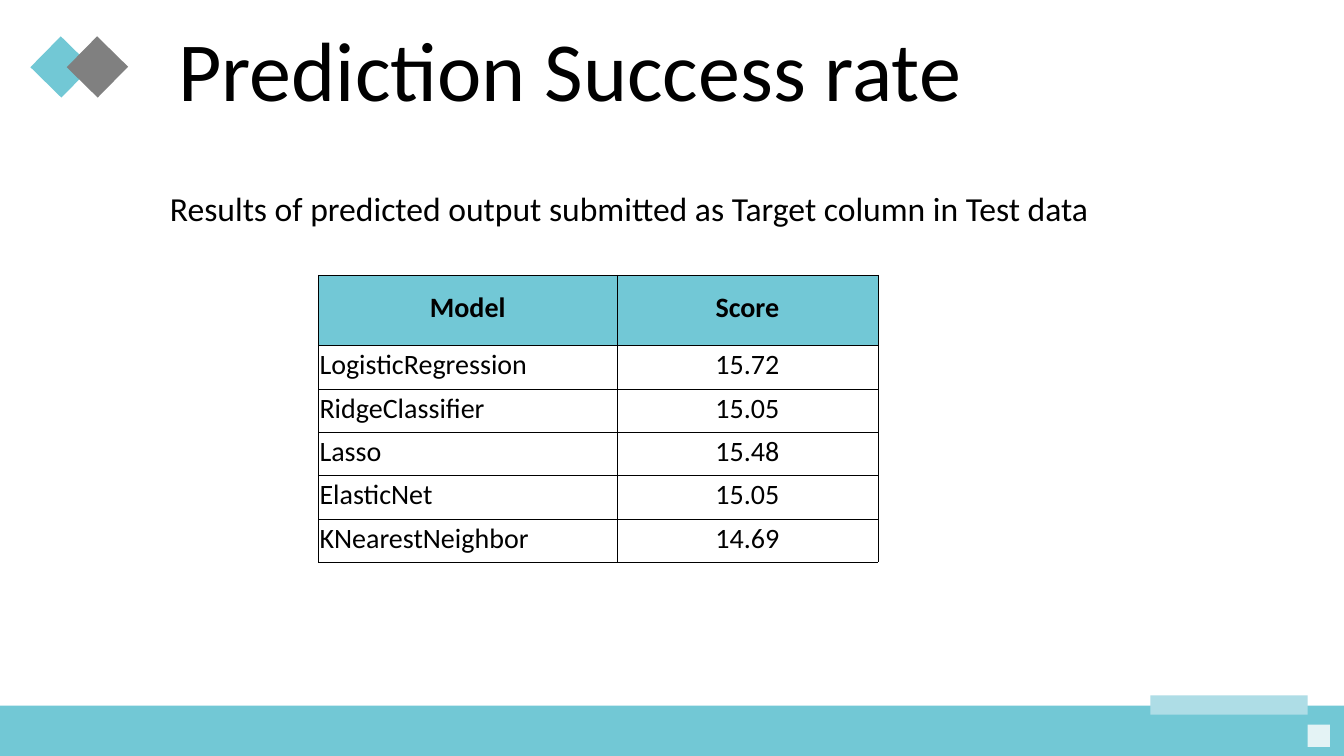
from lxml.etree import SubElement
from pptx import Presentation
from pptx.dml.color import RGBColor
from pptx.enum.shapes import MSO_SHAPE as Preset
from pptx.enum.text import MSO_ANCHOR as Anchor, MSO_AUTO_SIZE as AutoSize, PP_ALIGN as Align
from pptx.oxml.ns import qn
from pptx.util import Inches, Pt

TEAL = RGBColor(0x72, 0xC8, 0xD5)
HEADER_TEAL = RGBColor(0x72, 0xC8, 0xD6)
LIGHT_TEAL = RGBColor(0xAE, 0xDD, 0xE6)
PALE_TEAL = RGBColor(0xE4, 0xF3, 0xF5)
GRAY = RGBColor(0x80, 0x80, 0x80)
BLACK = RGBColor(0, 0, 0)

SCORES = [
    ("Model", "Score"),
    ("LogisticRegression", "15.72"),
    ("RidgeClassifier", "15.05"),
    ("Lasso", "15.48"),
    ("ElasticNet", "15.05"),
    ("KNearestNeighbor", "14.69"),
]


class SlideBuilder:
    """Holds the style and the current slide; lengths are percent of its size."""

    font = "Calibri"

    def __init__(self, deck):
        """Add a title and content slide to the deck."""
        self.width, self.height = deck.slide_width, deck.slide_height
        self.slide = deck.slides.add_slide(deck.slide_layouts[1])

    def across(self, share):
        """Turn a percentage of the width into a length."""
        return round(self.width * share / 100)

    def down(self, share):
        """Turn a percentage of the height into a length."""
        return round(self.height * share / 100)

    def box(self, left, top, width, height):
        """Turn four percentages into a place and a size."""
        return self.across(left), self.down(top), self.across(width), self.down(height)

    def style(self, paragraph, size, align, bold=False):
        """Format a whole paragraph."""
        paragraph.alignment = align
        font = paragraph.font
        font.name, font.size, font.bold = self.font, Pt(size), bold
        font.color.rgb = BLACK

    def block(self, place, color, rotation=0):
        """Draw a plain filled rectangle."""
        shape = self.slide.shapes.add_shape(Preset.RECTANGLE, *self.box(*place))
        shape.shadow.inherit = False
        shape.fill.solid()
        shape.fill.fore_color.rgb = color
        shape.line.fill.background()
        shape.rotation = rotation

    def placeholder(self, index, place, text, size, align, anchor, margin_top=0.05):
        """Move, fill and format one of the layout's placeholders."""
        holder = self.slide.placeholders[index]
        holder.left, holder.top, holder.width, holder.height = self.box(*place)
        frame = holder.text_frame
        frame.text = text
        frame.word_wrap = True
        frame.auto_size = AutoSize.NONE
        frame.vertical_anchor = anchor
        frame.margin_top = Inches(margin_top)
        paragraph = frame.paragraphs[0]
        paragraph.line_spacing = 0.9
        paragraph.space_before = Pt(0)
        self.style(paragraph, size, align)
        return paragraph

    def title(self, place, text):
        """Write the slide title."""
        self.placeholder(0, place, text, 60, Align.LEFT, Anchor.MIDDLE)

    def body(self, place, text, margin_top):
        """Write the body line without a bullet."""
        line = self.placeholder(1, place, text, 24, Align.CENTER, Anchor.TOP, margin_top)
        properties = line._p.get_or_add_pPr()
        properties.set("marL", "0")
        properties.set("indent", "0")
        SubElement(properties, qn("a:buNone"))

    def border(self, cell):
        """Put a thin black line on every side of a cell."""
        properties = cell._tc.get_or_add_tcPr()
        for position, side in enumerate("LRTB"):
            line = SubElement(properties, qn(f"a:ln{side}"), w=str(Pt(0.5)))
            fill = SubElement(line, qn("a:solidFill"))
            SubElement(fill, qn("a:srgbClr"), val=str(BLACK))
            properties.insert(position, line)

    def table(self, left, top, widths, heights, rows):
        """Draw a bordered table with a coloured header row."""
        place = self.box(left, top, sum(widths), sum(heights))
        table = self.slide.shapes.add_table(len(rows), len(widths), *place).table
        table.horz_banding = False
        for column, width in zip(table.columns, widths):
            column.width = self.across(width)
        for row, height in zip(table.rows, heights):
            row.height = self.down(height)
        for r, values in enumerate(rows):
            for c, value in enumerate(values):
                self.cell(table.cell(r, c), value, r == 0, c == 0)

    def cell(self, cell, value, is_header, is_label):
        """Fill and format one table cell."""
        cell.text = value
        cell.vertical_anchor = Anchor.MIDDLE
        cell.margin_left = cell.margin_right = cell.margin_top = Inches(0.01)
        cell.margin_bottom = Inches(0.05)
        if is_header:
            cell.fill.solid()
            cell.fill.fore_color.rgb = HEADER_TEAL
        else:
            cell.fill.background()
        align = Align.LEFT if is_label and not is_header else Align.CENTER
        self.style(cell.text_frame.paragraphs[0], 20, align, is_header)
        self.border(cell)


def main():
    """Build the prediction results slide."""
    deck = Presentation()
    deck.slide_width, deck.slide_height = Inches(13.33), Inches(7.5)
    page = SlideBuilder(deck)

    page.block((0, 93.33, 100, 6.67), TEAL)
    page.block((85.6, 92, 11.7, 2.53), LIGHT_TEAL)
    page.block((97.3, 95.87, 1.65, 2.93), PALE_TEAL)
    for left, color in ((2.93, TEAL), (5.63, GRAY)):
        page.block((left, 6, 3.23, 5.73), color, rotation=44.5)

    page.title((12.53, 4.8, 75, 10), "Prediction Success rate")
    page.body(
        (5.03, 17.73, 83.57, 71.6),
        "Results of predicted output submitted as Target column in Test data",
        margin_top=0.58,
    )
    page.table(23.7, 36.4, (22.2, 19.43), [9.33] + [5.73] * 5, SCORES)
    deck.save("out.pptx")


main()
